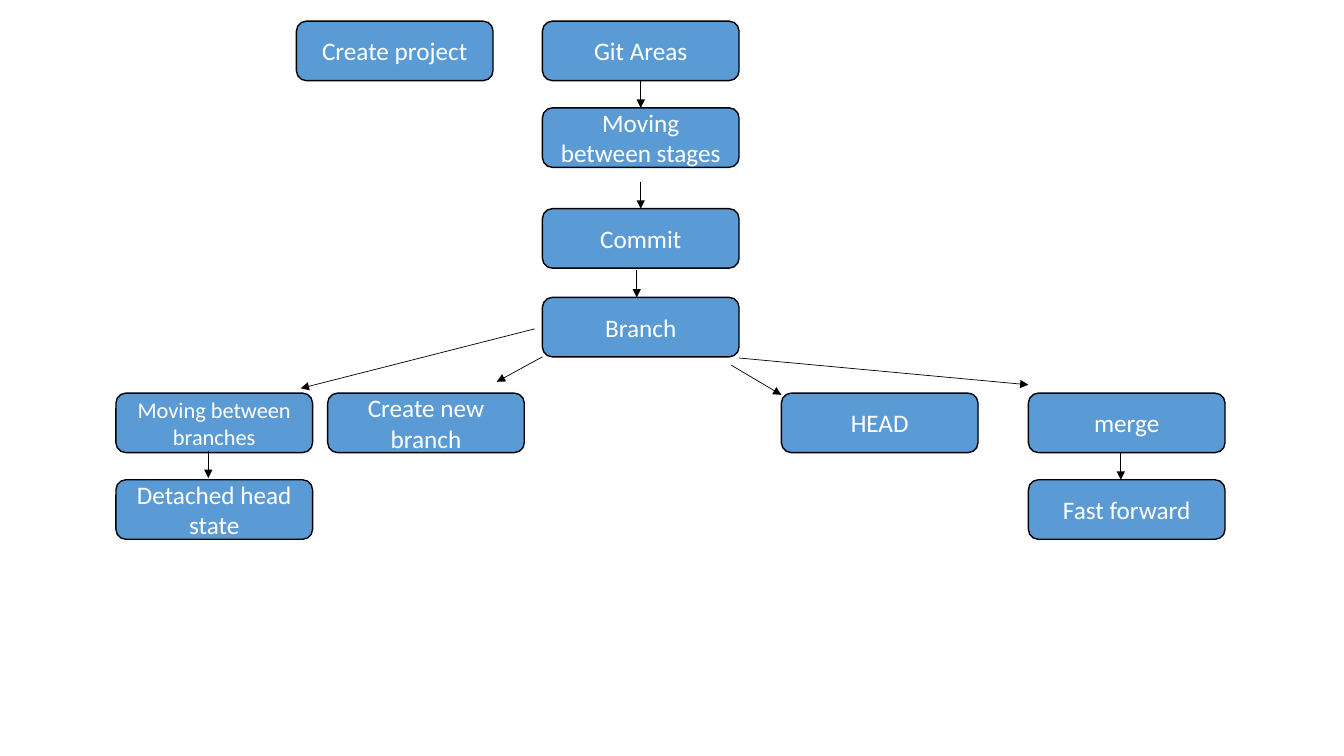
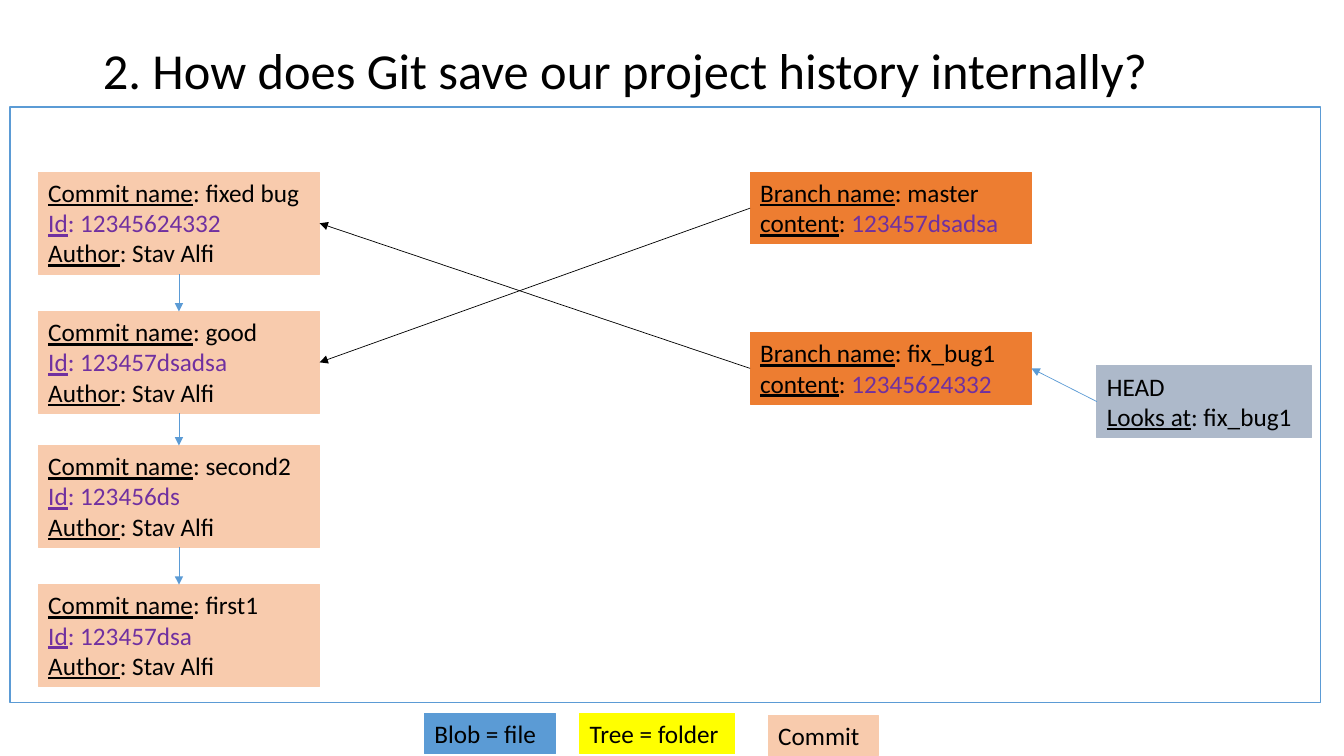
from lxml import etree
from pptx import Presentation
from pptx import util as u
from pptx.dml.color import RGBColor
from pptx.enum import shapes, text
from pptx.oxml.ns import qn

WIDTH, HEIGHT = 13.33, 7.5
FONT = "Calibri"
COLORS = {
    "blue": "5B9BD5",
    "black": "000000",
    "white": "FFFFFF",
    "yellow": "FFFF00",
    "peach": "F8CBAD",
    "orange": "ED7D31",
    "steel": "ADB9CA",
    "purple": "7030A0",
}

# Connection sites by their share of a shape's width and height
SITES = {(0.5, 0): 0, (0, 0.5): 1, (0.5, 1): 2, (1, 0.5): 3}
TOP, LEFT, BOTTOM, RIGHT = SITES


def rgb(name):
    return RGBColor.from_string(COLORS[name])


def write(p, content, size=18, color="black", underline=False):
    r = p.add_run()
    r.text = content
    r.font.name = FONT
    r.font.size = u.Pt(size)
    r.font.color.rgb = rgb(color)
    if underline:
        r.font.underline = True


def draw_box(s, box, fill=None, line=None, weight=0.75,
             kind=shapes.MSO_SHAPE.RECTANGLE):
    sp = s.shapes.add_shape(kind, *map(u.Inches, box))
    sp.shadow.inherit = False
    if fill:
        sp.fill.solid()
        sp.fill.fore_color.rgb = rgb(fill)
    else:
        sp.fill.background()
    sp.line.color.rgb = rgb(line or fill)
    sp.line.width = u.Pt(weight)
    return sp


def draw_card(s, box, fill, lines):
    """Draw a filled box; each line is a list of (text, format) runs."""
    sp = draw_box(s, box, fill)
    tf = sp.text_frame
    tf.word_wrap = True
    tf.vertical_anchor = text.MSO_ANCHOR.TOP
    for i, runs in enumerate(lines):
        p = tf.add_paragraph() if i else tf.paragraphs[0]
        p.alignment = text.PP_ALIGN.LEFT
        for content, fmt in runs:
            write(p, content, **fmt)
    return sp


def field(label, value, color="black", value_color=None):
    """Return the runs of an underlined label and its value."""
    runs = [(label, {"color": color, "underline": True})]
    if value_color:
        return runs + [(": ", {"color": color}), (value, {"color": value_color})]
    return runs + [(": " + value, {"color": color})]


def draw_arrow(s, start, end, color="black"):
    """Link two (shape, share) ends, joined where a share is a side's middle."""
    points = []
    for sp, (across, down) in (start, end):
        points += [sp.left + int(sp.width * across), sp.top + int(sp.height * down)]
    c = s.shapes.add_connector(shapes.MSO_CONNECTOR.STRAIGHT, *points)
    for (sp, share), join in ((start, c.begin_connect), (end, c.end_connect)):
        if share in SITES:
            join(sp, SITES[share])
    c.line.color.rgb = rgb(color)
    c.line.width = u.Pt(0.5)
    etree.SubElement(c.line._get_or_add_ln(), qn("a:tailEnd"), type="triangle")
    etree.SubElement(c._element.spPr, qn("a:effectLst"))


def set_title(s, box, content):
    title = s.shapes.title
    title.left, title.top, title.width, title.height = map(u.Inches, box)
    tf = title.text_frame
    tf.word_wrap = True
    tf.auto_size = text.MSO_AUTO_SIZE.NONE
    tf.vertical_anchor = text.MSO_ANCHOR.MIDDLE
    p = tf.paragraphs[0]
    p.alignment = text.PP_ALIGN.LEFT
    p.line_spacing = 0.9
    write(p, content, size=36)


def draw_topic_map(s, columns, rows, node_size):
    topics = {  # name: (column, row)
        "Create project": (1, 0),
        "Git Areas": (3, 0),
        "Moving between stages": (3, 1),
        "Commit": (3, 2),
        "Branch": (3, 3),
        "Moving between branches": (0, 4),
        "Create new branch": (2, 4),
        "HEAD": (4, 4),
        "merge": (5, 4),
        "Detached head state": (0, 5),
        "Fast forward": (5, 5),
    }
    nodes = {}
    for name, (column, row) in topics.items():
        sp = draw_box(s, (columns[column], rows[row], *node_size), "blue", "black", 1,
                      shapes.MSO_SHAPE.ROUNDED_RECTANGLE)
        sp.text_frame.word_wrap = True
        sp.text_frame.vertical_anchor = text.MSO_ANCHOR.MIDDLE
        p = sp.text_frame.paragraphs[0]
        p.alignment = text.PP_ALIGN.CENTER
        write(p, name, size=16 if name == "Moving between branches" else 18,
              color="white")
        nodes[name] = sp

    links = [
        ("Git Areas", BOTTOM, "Moving between stages", TOP),
        ("Moving between stages", (0.5, 1.24), "Commit", TOP),
        ("Commit", (0.48, 1.03), "Branch", (0.48, 0)),
        ("Branch", (0.96, 1.14), "HEAD", (0, 0.03)),
        ("Branch", (1, 1.02), "merge", (0, -0.14)),
        ("Branch", (-0.04, 0.53), "Moving between branches", (0.94, -0.08)),
        ("Branch", (0, 1), "Create new branch", (0.86, -0.19)),
        ("merge", (0.47, 1), "Fast forward", (0.47, 0)),
        ("Moving between branches", (0.47, 0.98), "Detached head state", (0.47, -0.03)),
    ]
    for source, leave, target, arrive in links:
        draw_arrow(s, (nodes[source], leave), (nodes[target], arrive))


def draw_commits(s, x, tops, size):
    """Stack the commits, newest first, and link each to the one before it."""
    commits = [("fixed bug", "12345624332"), ("good", "123457dsadsa"),
               ("second2", "123456ds"), ("first1", "123457dsa")]
    cards = [
        draw_card(s, (x, top, *size), "peach", [
            field("Commit name", name),
            field("Id", commit_id, "purple"),
            field("Author", "Stav Alfi"),
        ])
        for top, (name, commit_id) in zip(tops, commits)
    ]
    for newer, older in zip(cards, cards[1:]):
        draw_arrow(s, (newer, BOTTOM), (older, TOP), "blue")
    return cards


def draw_branch(s, box, name, commit_id, commit):
    card = draw_card(s, box, "orange", [
        field("Branch name", name),
        field("content", commit_id, value_color="purple"),
    ])
    draw_arrow(s, (card, LEFT), (commit, RIGHT))
    return card


def draw_history(s, frame):
    x, y, w, h = frame
    draw_box(s, frame, line="blue", weight=1)
    tops = [y + offset for offset in (0.65, 2.03, 3.36, 4.74)]
    fixed_bug, good, *_ = draw_commits(s, x + 0.28, tops, (2.79, 1.01))
    branch_x = x + 7.34
    draw_branch(s, (branch_x, y + 0.65, 2.79, 0.71), "master", "123457dsadsa", good)
    fix = draw_branch(s, (branch_x, y + 2.24, 2.79, 0.71), "fix_bug1", "12345624332",
                      fixed_bug)
    head = draw_card(s, (x + w - 2.22, y + 2.57, 2.13, 0.71), "steel",
                     [[("HEAD", {})], field("Looks at", "fix_bug1")])
    draw_arrow(s, (head, LEFT), (fix, RIGHT), "blue")


def draw_legend(s, x, y, height):
    entries = [  # label, fill, offset across, offset down, width
        ("Blob = file", "blue", 0, 0, 1.3),
        ("Tree = folder", "yellow", 1.54, 0, 1.54),
        ("Commit", "peach", 3.41, 0.02, 1.09),
    ]
    for label, fill, dx, dy, width in entries:
        draw_card(s, (x + dx, y + dy, width, height), fill, [[(label, {})]])


def main():
    prs = Presentation()
    prs.slide_width, prs.slide_height = u.Inches(WIDTH), u.Inches(HEIGHT)
    title_only, blank = prs.slide_layouts[5], prs.slide_layouts[6]

    s = prs.slides.add_slide(blank)
    draw_topic_map(s, columns=(1.15, 2.94, 3.25, 5.38, 7.75, 10.2),
                   rows=(0.21, 1.07, 2.07, 2.95, 3.9, 4.76), node_size=(1.95, 0.59))

    s = prs.slides.add_slide(title_only)
    set_title(s, (0.92, 0.4, 11.5, 0.66),
              "2. How does Git save our project history internally?")
    draw_history(s, (0.1, 1.06, 13, 5.91))
    draw_legend(s, 4.21, 7.08, 0.4)

    prs.save("out.pptx")


if __name__ == "__main__":
    main()
